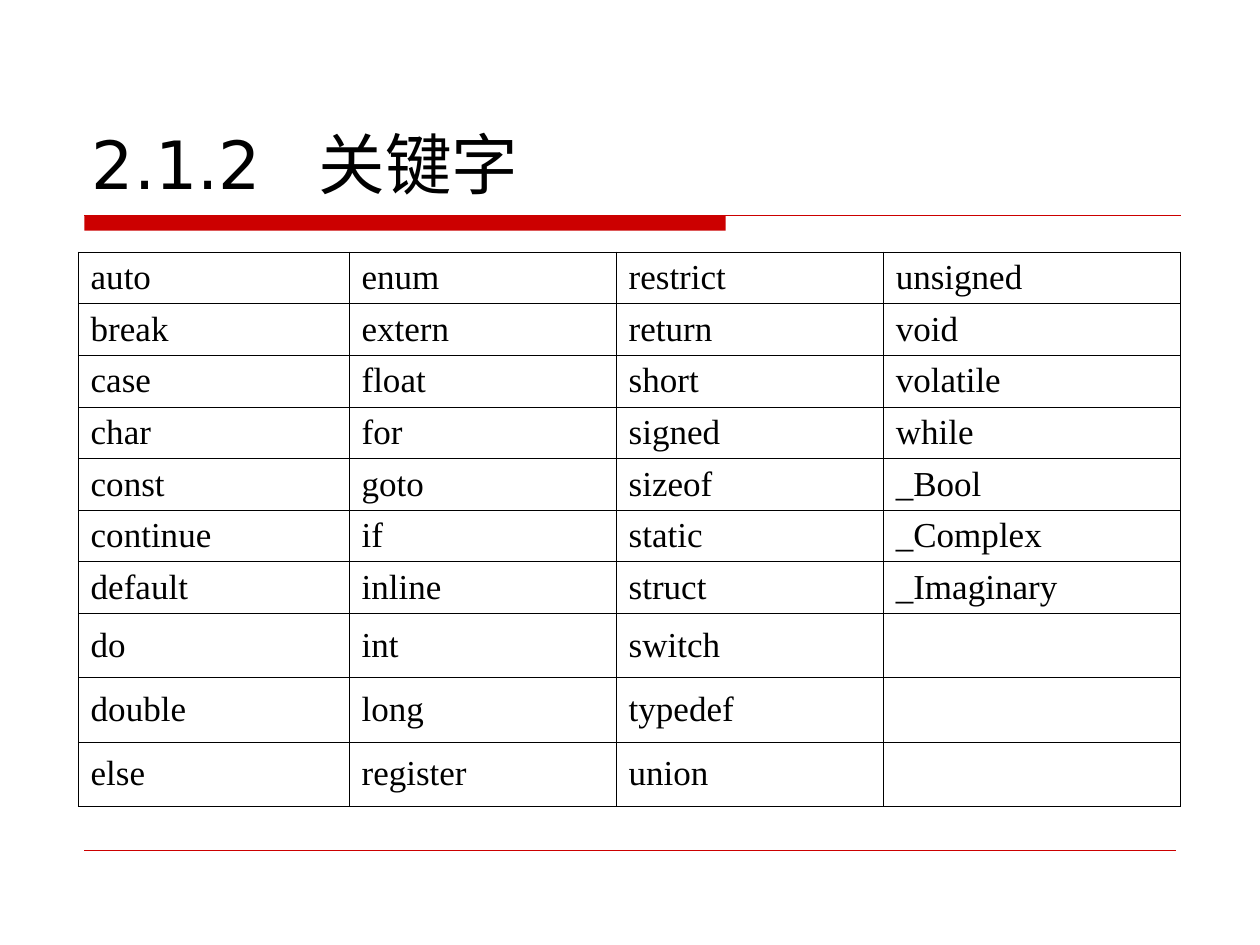
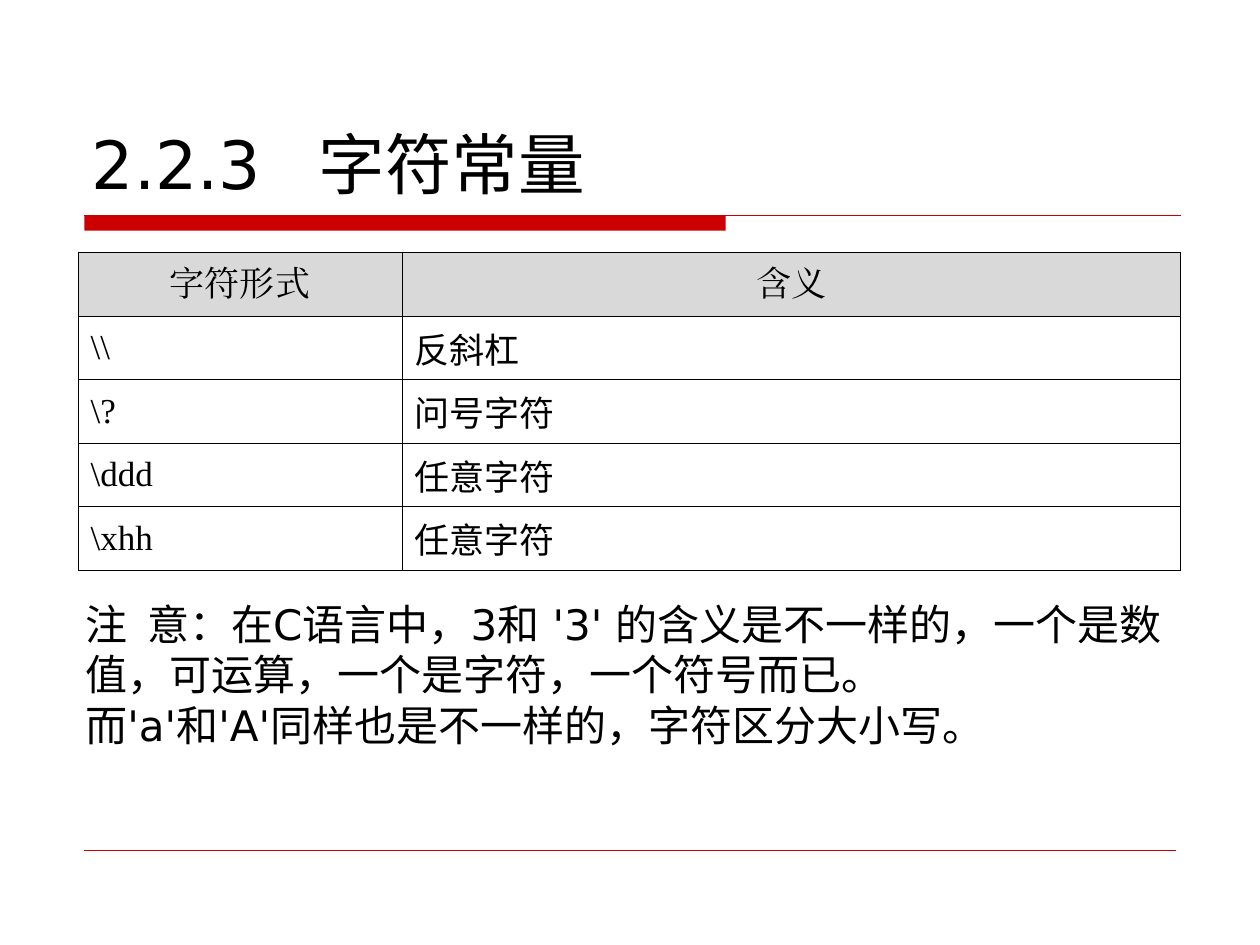
"""Build two slides on C keywords and character constants."""
from itertools import zip_longest

from lxml.etree import SubElement
from pptx import Presentation
from pptx.dml.color import RGBColor
from pptx.enum.lang import MSO_LANGUAGE_ID as LANG
from pptx.enum.shapes import MSO_CONNECTOR, MSO_SHAPE
from pptx.enum.text import MSO_ANCHOR as ANCHOR, MSO_AUTO_SIZE as FIT, PP_ALIGN as ALIGN
from pptx.oxml.ns import qn
from pptx.util import Emu, Pt

BLACK = RGBColor(0x00, 0x00, 0x00)
RED = RGBColor(0xCC, 0x00, 0x00)
GREY = RGBColor(0xD9, 0xD9, 0xD9)
SANS, SERIF, HAN = "DejaVu Sans", "Times New Roman", "Noto Sans CJK SC"

KEYWORDS = [
    "auto break case char const continue default do double else",
    "enum extern float for goto if inline int long register",
    "restrict return short signed sizeof static struct switch typedef union",
    "unsigned void volatile while _Bool _Complex _Imaginary",
]
ESCAPES = [
    ("字符形式", "含义"),
    ("\\\\", "反斜杠"),
    ("\\?", "问号字符"),
    ("\\ddd", "任意字符"),
    ("\\xhh", "任意字符"),
]
NOTE = ("注\t意：在C语言中，3和 '3' 的含义是不一样的，一个是数值，可运算，"
        "一个是字符，一个符号而已。\n而'a'和'A'同样也是不一样的，字符区分大小写。")


def px(n):
    return Emu(n * 9144)


def write(tf, text, size=20, font=SERIF, color=BLACK, align=ALIGN.LEFT, tab=None):
    for i, line in enumerate(text.split("\n")):
        p = tf.add_paragraph() if i else tf.paragraphs[0]
        p.alignment = align
        if tab:
            tabs = SubElement(p._p.get_or_add_pPr(), qn("a:tabLst"))
            SubElement(tabs, qn("a:tab"), pos=str(px(tab)), algn="l")
        r = p.add_run()
        r.text = line
        r.font.size, r.font.name = Pt(size), font
        r.font.color.rgb = color
        r.font.language_id = LANG.SIMPLIFIED_CHINESE
        SubElement(r._r.get_or_add_rPr(), qn("a:ea"), typeface=font)


class Deck:
    def __init__(self):
        self.prs = Presentation()
        self.prs.slide_width, self.prs.slide_height = px(1000), px(750)
        self.s = None

    def slide(self, title):
        self.s = self.prs.slides.add_slide(self.prs.slide_layouts[5])
        self.band(67, 171, 509, 12)
        self.rule(67, 937, 171, 0.75)
        self.rule(67, 933, 675, 0.25)
        self.title(title)

    def title(self, text):
        sp = self.s.shapes.title
        sp.left, sp.top, sp.width, sp.height = map(px, (63, 33, 875, 133))
        tf = sp.text_frame
        tf.vertical_anchor, tf.auto_size = ANCHOR.BOTTOM, FIT.NONE
        write(tf, text, size=38, font=SANS, tab=180)

    def band(self, x, y, w, h):
        sp = self.s.shapes.add_shape(MSO_SHAPE.RECTANGLE, *map(px, (x, y, w, h)))
        sp.shadow.inherit = False
        sp.fill.solid()
        sp.fill.fore_color.rgb = RED
        sp.line.fill.background()

    def rule(self, x1, x2, y, width):
        ln = self.s.shapes.add_connector(MSO_CONNECTOR.STRAIGHT, *map(px, (x1, y, x2, y)))
        ln.line.color.rgb, ln.line.width = RED, Pt(width)
        SubElement(ln._element.spPr, qn("a:effectLst"))

    def note(self, text, x, y, w, h):
        tf = self.s.shapes.add_textbox(*map(px, (x, y, w, h))).text_frame
        tf.word_wrap, tf.auto_size = True, FIT.SHAPE_TO_FIT_TEXT
        tf.vertical_anchor = ANCHOR.MIDDLE
        write(tf, text, size=24, font=SANS, tab=49)

    def table(self, rows, x, y, widths, heights, fonts, header=False):
        box = map(px, (x, y, sum(widths), sum(heights)))
        tbl = self.s.shapes.add_table(len(rows), len(widths), *box).table
        tbl.first_row = tbl.horz_banding = False
        for col, w in zip(tbl.columns, widths):
            col.width = px(w)
        for row, h in zip(tbl.rows, heights):
            row.height = px(h)
        for i, row in enumerate(rows):
            for j, text in enumerate(row):
                self.cell(tbl.cell(i, j), text, fonts[j], header and i == 0)

    def cell(self, cell, text, font, head):
        cell.vertical_anchor = ANCHOR.MIDDLE
        if text:
            write(cell.text_frame, text, font=SERIF if head else font,
                  align=ALIGN.CENTER if head else ALIGN.LEFT)
        tcPr = cell._tc.get_or_add_tcPr()
        for side in ("lnL", "lnR", "lnT", "lnB"):
            ln = SubElement(tcPr, qn(f"a:{side}"), w=str(Pt(0.45)))
            fill = SubElement(ln, qn("a:solidFill"))
            SubElement(fill, qn("a:srgbClr"), val=str(BLACK))
        if head:
            cell.fill.solid()
            cell.fill.fore_color.rgb = GREY
        else:
            cell.fill.background()


def main():
    deck = Deck()
    deck.slide("2.1.2\t关键字")
    words = list(zip_longest(*(col.split() for col in KEYWORDS), fillvalue=""))
    deck.table(words, 62, 200, [215, 212, 212, 236], [41] * 7 + [51] * 3, [SERIF] * 4)

    deck.slide("2.2.3\t字符常量")
    deck.table(ESCAPES, 62, 200, [257, 618], [51] + [50] * 4, [SERIF, HAN], header=True)
    deck.note(NOTE, 58, 470, 875, 130)
    deck.prs.save("out.pptx")


if __name__ == "__main__":
    main()
